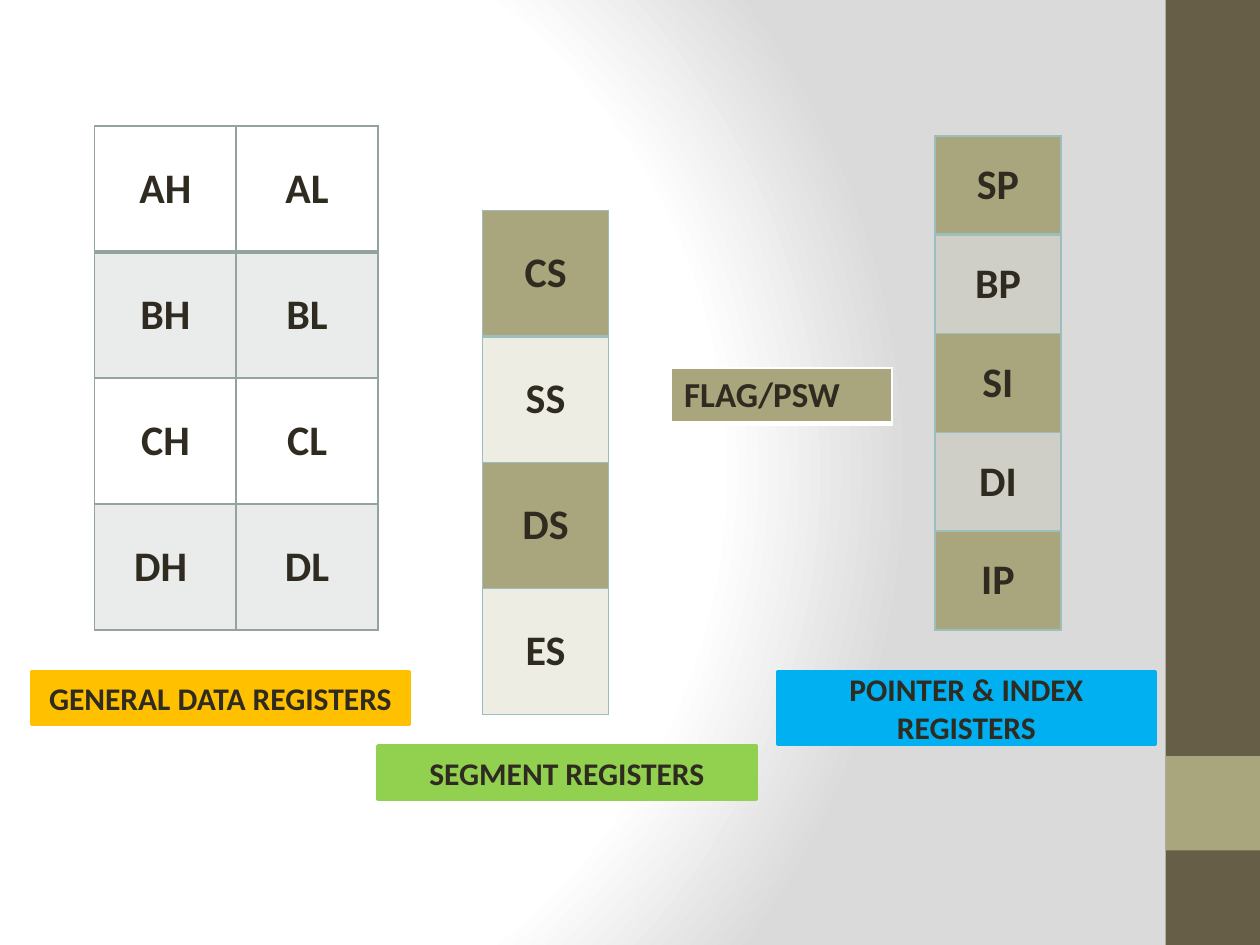
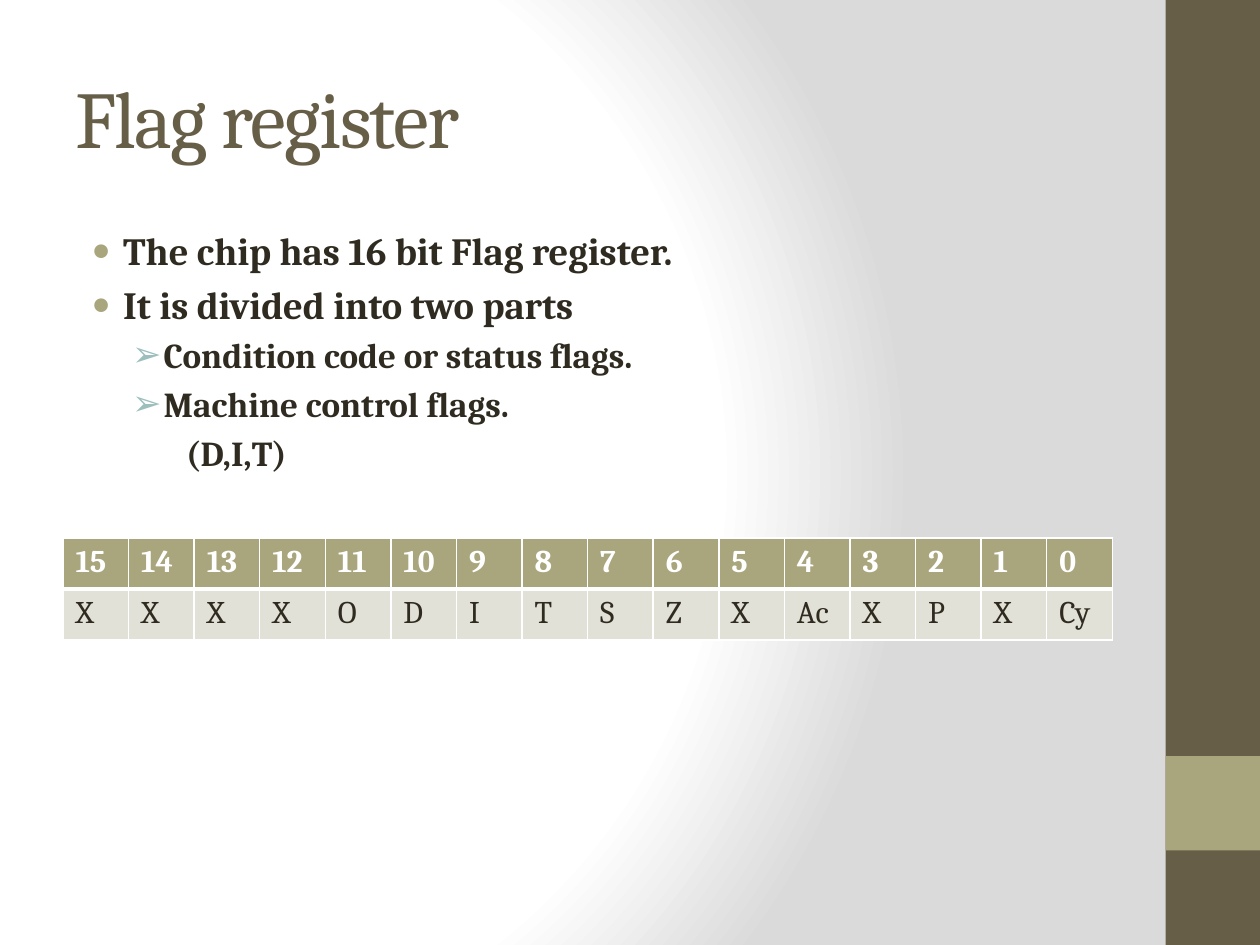
"""Builds two slides on the registers and the flag register of a 16 bit chip."""
import pptx
import pptx.util
import pptx.dml.color
import pptx.enum.shapes
import pptx.enum.text
import pptx.oxml
import pptx.oxml.ns
from lxml import etree

Inches = pptx.util.Inches
Pt = pptx.util.Pt
RGBColor = pptx.dml.color.RGBColor
qn = pptx.oxml.ns.qn
RECT = pptx.enum.shapes.MSO_SHAPE.RECTANGLE
MIDDLE = pptx.enum.text.MSO_ANCHOR.MIDDLE
TOP = pptx.enum.text.MSO_ANCHOR.TOP
CENTER = pptx.enum.text.PP_ALIGN.CENTER
LEFT = pptx.enum.text.PP_ALIGN.LEFT

WHITE = RGBColor(0xFF, 0xFF, 0xFF)
INK = RGBColor(0x2F, 0x2B, 0x20)
BROWN = RGBColor(0x67, 0x5E, 0x47)
OLIVE = RGBColor(0xA9, 0xA5, 0x7C)
PALE_OLIVE = RGBColor(0xE2, 0xE1, 0xD7)
GREY_GREEN = RGBColor(0x95, 0xA3, 0x9D)
TEAL = RGBColor(0x9C, 0xBE, 0xBD)
AMBER = RGBColor(0xFF, 0xC0, 0x00)
GREEN = RGBColor(0x92, 0xD0, 0x50)
BLUE = RGBColor(0x00, 0xB0, 0xF0)
BODY_FONT = "Cambria"
LABEL_FONT = "Calibri"
A_NS = 'xmlns:a="http://schemas.openxmlformats.org/drawingml/2006/main"'


def add_run(p, text, size, font, color=INK, bold=True):
    r = p.add_run()
    r.text = text
    r.font.size = Pt(size)
    r.font.name = font
    r.font.bold = bold
    r.font.color.rgb = color
    return r


def add_grid(s, box, rows, fills, line, head_line, size, font=LABEL_FONT,
             inks=(INK, INK), bolds=(True, True), centered=True):
    x, y, w, h = box
    tbl = s.shapes.add_table(len(rows), len(rows[0]), *map(Inches, box)).table
    tbl.first_row = tbl.horz_banding = False
    for col in tbl.columns:
        col.width = Inches(w / len(rows[0]))
    for i, texts in enumerate(rows):
        tbl.rows[i].height = Inches(h / len(rows))
        for j, text in enumerate(texts):
            cell = tbl.cell(i, j)
            tcPr = cell._tc.get_or_add_tcPr()
            widths = {"lnL": 1, "lnR": 1, "lnT": head_line if i == 1 else 1,
                      "lnB": head_line if i == 0 else 1}
            for side, width in widths.items():
                tcPr.append(pptx.oxml.parse_xml(
                    f'<a:{side} {A_NS} w="{Pt(width)}"><a:solidFill>'
                    f'<a:srgbClr val="{line}"/></a:solidFill></a:{side}>'))
            color, alpha = fills[i % 2]
            if color is None:
                cell.fill.background()
            else:
                cell.fill.solid()
                cell.fill.fore_color.rgb = color
                if alpha < 100:
                    clr = tcPr.find(qn("a:solidFill")).find(qn("a:srgbClr"))
                    etree.SubElement(clr, qn("a:alpha")).set("val", str(alpha * 1000))
            cell.vertical_anchor = MIDDLE if centered else TOP
            p = cell.text_frame.paragraphs[0]
            p.alignment = CENTER if centered else LEFT
            add_run(p, text, size, font, inks[i % 2], bolds[i % 2])


prs = pptx.Presentation()
prs.slide_width = Inches(10)
prs.slide_height = Inches(7.5)
blank = prs.slide_layouts[6]

master = prs.slide_master
master.background.fill.gradient()
grad = next(master._element.iter(qn("a:gradFill")))
stops = "".join(f'<a:gs pos="{pos * 1000}"><a:srgbClr val="{c}"/></a:gs>'
                for pos, c in ((0, "FFFFFF"), (75, "FFFFFF"), (100, "DADADA")))
grad.getparent().replace(grad, pptx.oxml.parse_xml(
    f'<a:gradFill {A_NS} rotWithShape="1"><a:gsLst>{stops}</a:gsLst>'
    '<a:path path="circle"><a:fillToRect l="20000" t="50000" r="100000" b="50000"/>'
    '</a:path></a:gradFill>'))

s = prs.slides.add_slide(blank)
for y, h, color in ((0, 7.5, BROWN), (6, 0.75, OLIVE)):
    sp = s.shapes.add_shape(RECT, Inches(9.25), Inches(y), Inches(0.75), Inches(h))
    sp.shadow.inherit = False
    sp.fill.solid()
    sp.fill.fore_color.rgb = color
    sp.line.fill.background()
    master.shapes._spTree.append(sp._element)

olive_bands = [(OLIVE, 100), (OLIVE, 20)]
add_grid(s, (0.75, 1, 2.25, 4),
         [["AH", "AL"], ["BH", "BL"], ["CH", "CL"], ["DH ", "DL"]],
         [(None, 100), (GREY_GREEN, 20)], GREY_GREEN, 2, 24)
add_grid(s, (3.83, 1.67, 1, 4), [["CS"], ["SS"], ["DS"], ["ES"]],
         olive_bands, TEAL, 2, 24)
add_grid(s, (7.42, 1.08, 1, 3.92), [["SP"], ["BP"], ["SI"], ["DI"], ["IP"]],
         olive_bands, TEAL, 2, 24)
add_grid(s, (5.33, 2.92, 1.75, 0.43), [["FLAG/PSW"]],
         olive_bands, WHITE, 3, 20, centered=False)

for x, y, h, color, text in (
        (0.25, 5.33, 0.42, AMBER, "GENERAL DATA REGISTERS"),
        (3, 5.92, 0.42, GREEN, "SEGMENT REGISTERS"),
        (6.17, 5.33, 0.58, BLUE, "POINTER & INDEX REGISTERS")):
    sp = s.shapes.add_shape(RECT, Inches(x), Inches(y), Inches(3), Inches(h))
    sp.shadow.inherit = False
    sp.fill.solid()
    sp.fill.fore_color.rgb = color
    sp.line.color.rgb = color
    sp.line.width = Pt(2)
    tf = sp.text_frame
    tf.word_wrap = True
    tf.vertical_anchor = MIDDLE
    p = tf.paragraphs[0]
    p.alignment = CENTER
    add_run(p, text, 18, LABEL_FONT)

s = prs.slides.add_slide(blank)
tf = s.shapes.add_textbox(Inches(0.5), Inches(0.3), Inches(8.33), Inches(1.25)).text_frame
tf.word_wrap = True
tf.vertical_anchor = MIDDLE
r = add_run(tf.paragraphs[0], "Flag register", 46, BODY_FONT, BROWN, False)
r._r.get_or_add_rPr().set("spc", "-100")

tf = s.shapes.add_textbox(Inches(0.5), Inches(1.75), Inches(8.33), Inches(2.17)).text_frame
tf.word_wrap = True
for i, (text, level, left, bullet, color) in enumerate((
        ("The chip has 16 bit Flag register.", 0, 0.38, "•", OLIVE),
        ("It is divided into two parts", 0, 0.38, "•", OLIVE),
        ("Condition code or status flags.", 1, 0.7, "➢", TEAL),
        ("Machine control flags.", 1, 0.7, "➢", TEAL),
        ("(D,I,T)", 1, 0.88, None, None))):
    size = 20 if level else 22
    p = tf.paragraphs[0] if i == 0 else tf.add_paragraph()
    p.level = level
    p.space_before = Pt(size * 0.2)
    pPr = p._p.get_or_add_pPr()
    pPr.set("marL", str(Inches(left)))
    pPr.set("indent", str(Inches(-0.25 if bullet else 0)))
    if bullet:
        buClr = etree.SubElement(pPr, qn("a:buClr"))
        etree.SubElement(buClr, qn("a:srgbClr")).set("val", str(color))
        etree.SubElement(pPr, qn("a:buFont")).set("typeface", LABEL_FONT)
        etree.SubElement(pPr, qn("a:buChar")).set("char", bullet)
    else:
        etree.SubElement(pPr, qn("a:buNone"))
    add_run(p, text, size, BODY_FONT)

bits = [str(bit) for bit in range(15, -1, -1)]
flags = "X X X X O D I T S Z X Ac X P X Cy".split()
add_grid(s, (0.5, 4.27, 8.33, 0.81), [bits, flags],
         [(OLIVE, 100), (PALE_OLIVE, 100)], WHITE, 3, 18, BODY_FONT,
         inks=(WHITE, INK), bolds=(True, False), centered=False)

prs.save("out.pptx")
